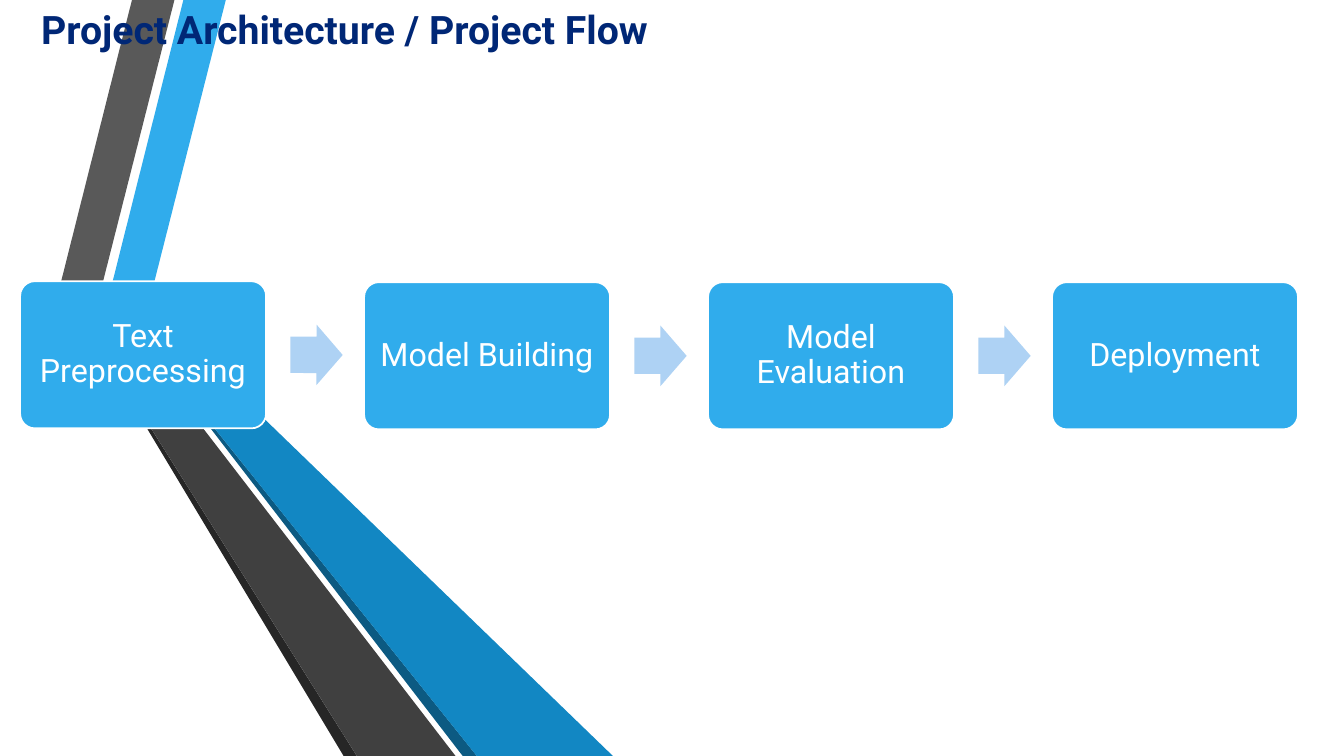
from dataclasses import dataclass

from pptx import Presentation
from pptx.dml.color import RGBColor as Color
from pptx.enum.shapes import MSO_SHAPE as Kind
from pptx.enum.text import MSO_ANCHOR as Anchor, PP_ALIGN as Align
from pptx.util import Pt


@dataclass(frozen=True)
class Theme:
    font: str = "Roboto"
    head: str = "002776"
    card: str = "30ACEC"
    white: str = "FFFFFF"
    arrow: str = "AED2F4"
    gray: str = "595959"
    coal: str = "404040"
    black: str = "262626"
    blue: str = "1287C3"
    navy: str = "0C5A82"
    head_size: float = 28
    card_size: float = 23


class Board:
    def __init__(self, slide, theme):
        self.shapes = slide.shapes
        self.theme = theme

    def paint(self, shape, fill, line=None):
        shape.shadow.inherit = False
        shape.fill.solid()
        shape.fill.fore_color.rgb = Color.from_string(fill)
        if line:
            shape.line.color.rgb = Color.from_string(line)
            shape.line.width = Pt(1.25)
        else:
            shape.line.fill.background()

    def label(self, para, text, size, color, bold=False):
        run = para.add_run()
        run.text = text
        run.font.name = self.theme.font
        run.font.size = Pt(size)
        run.font.bold = bold
        run.font.color.rgb = Color.from_string(color)

    def band(self, fill, *points):
        start, *rest = [(Pt(x), Pt(y)) for x, y in points]
        form = self.shapes.build_freeform(*start)
        form.add_line_segments(rest, close=True)
        self.paint(form.convert_to_shape(), fill)

    def title(self, text, x, y, w, h):
        frame = self.shapes.add_textbox(Pt(x), Pt(y), Pt(w), Pt(h)).text_frame
        frame.word_wrap = True
        self.label(frame.paragraphs[0], text, self.theme.head_size,
                   self.theme.head, bold=True)

    def block(self, kind, x, y, w, h):
        return self.shapes.add_shape(kind, Pt(x), Pt(y), Pt(w), Pt(h))

    def card(self, text, x, y, w, h):
        shape = self.block(Kind.ROUNDED_RECTANGLE, x, y, w, h)
        shape.adjustments[0] = 0.1
        self.paint(shape, self.theme.card, self.theme.white)
        frame = shape.text_frame
        frame.word_wrap = True
        frame.vertical_anchor = Anchor.MIDDLE
        # The round corners already inset the text by about 3 pt
        frame.margin_left = frame.margin_right = Pt(7.2)
        frame.margin_top = frame.margin_bottom = Pt(7.2)
        para = frame.paragraphs[0]
        para.alignment = Align.CENTER
        para.line_spacing = 0.9
        self.label(para, text, self.theme.card_size, self.theme.white)

    def arrow(self, x, y, w, h, turn=0):
        shape = self.block(Kind.RIGHT_ARROW, x, y, w, h)
        shape.adjustments[0] = 0.6
        shape.adjustments[1] = 0.5
        shape.rotation = turn
        self.paint(shape, self.theme.arrow)


def main():
    deck = Presentation()
    deck.slide_width, deck.slide_height = Pt(960), Pt(540)
    theme = Theme()
    board = Board(deck.slides.add_slide(deck.slide_layouts[6]), theme)

    # Folded bands: points where they bend or meet the slide edge
    base = 540
    gray_left, gray_right = (43.2, 203), (71.3, 210.2)
    blue_left, blue_right = (77.8, 211.7), (105.8, 218.9)
    gray_foot, blue_foot = (254.9, base), (340.6, base)
    board.band(theme.card, blue_left, blue_right, (161.3, 0), (131, 0))
    board.band(theme.gray, gray_right, (124.6, 0), (94.3, 0), gray_left)
    board.band(theme.black, gray_left, (245.5, base), gray_foot)
    board.band(theme.navy, blue_left, (330.5, base), blue_foot)
    board.band(theme.blue, blue_left, blue_foot, (437.8, base), blue_right)
    board.band(theme.coal, gray_left, gray_foot, (325.4, base), gray_right)

    # Title
    board.title("Project Architecture / Project Flow", 22.3, 0, 764.6, 49)

    # Flow: the first card sits a touch higher, so its arrow tilts
    steps = ["Text Preprocessing", "Model Building",
             "Model Evaluation", "Deployment"]
    left, pitch, wide, high = 14.4, 245.7, 175.7, 105.1
    for i, step in enumerate(steps):
        x = left + i * pitch
        first = i == 0
        top = 200.9 if first else 201.6
        board.card(step, x, top, wide, high)
        if i < len(steps) - 1:
            board.arrow(x + 193, top + 31, 37.4, 43.2, 0.2 if first else 0)

    deck.save("out.pptx")


if __name__ == "__main__":
    main()
